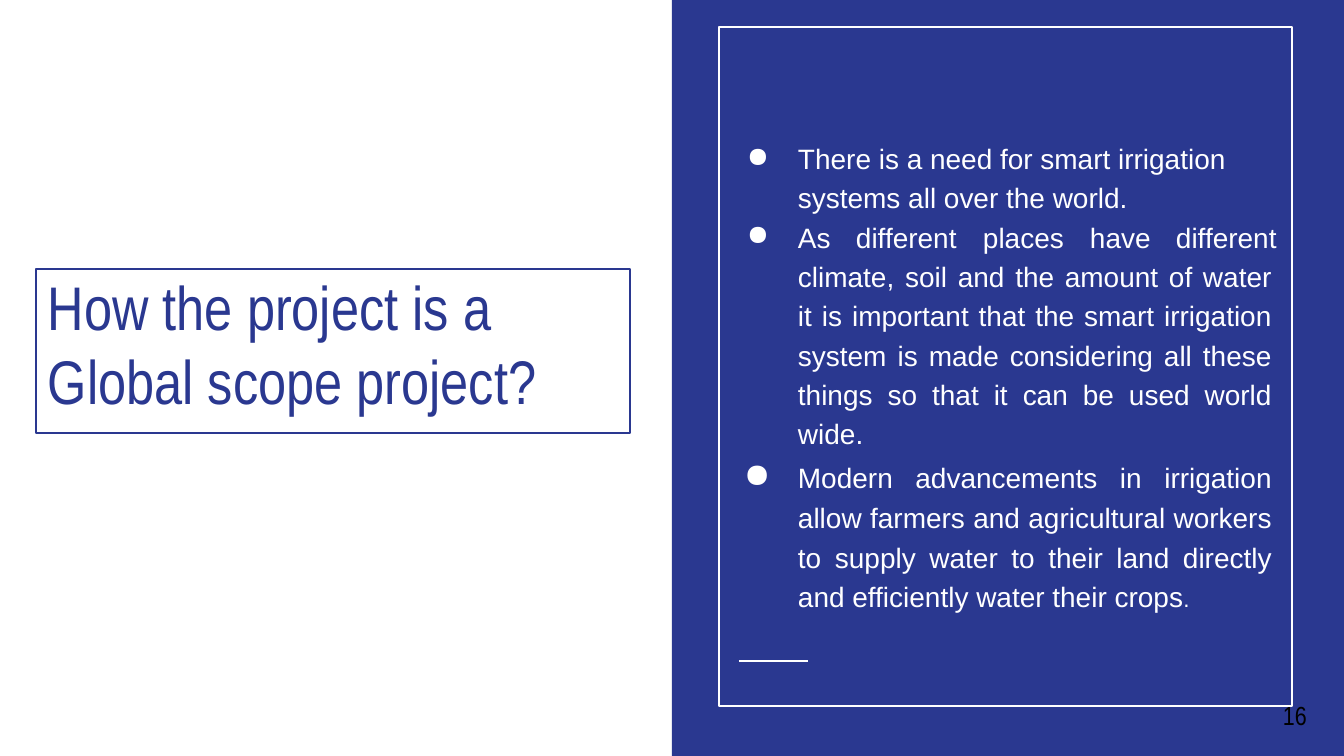
from dataclasses import dataclass

from lxml import etree
from pptx import Presentation
from pptx import util as u
from pptx.dml.color import RGBColor
from pptx.enum import shapes, text
from pptx.oxml.ns import qn

PX = 914400 / 134.4
BLUE, WHITE, BLACK = "2A3890", "FFFFFF", "000000"


@dataclass(frozen=True)
class Run:
    words: str
    size: float = 15
    font: str = "Arial"
    color: str = WHITE


@dataclass(frozen=True)
class Para:
    runs: tuple[Run, ...]
    margin: int = 0
    indent: int = 0
    line_spacing: float = 1.0
    before: float = 0
    justified: bool = False
    bullet_percent: int = 0
    tabs: tuple[int, ...] = ()


@dataclass(frozen=True)
class Box:
    left: int
    top: int
    width: int
    height: int
    inset_top: int = 0


def px(length: int) -> u.Emu:
    return u.Emu(round(length * PX))


def rgb(color: str) -> RGBColor:
    return RGBColor.from_string(color)


def add_para(paragraph, para: Para) -> None:
    paragraph.alignment = text.PP_ALIGN.JUSTIFY if para.justified else text.PP_ALIGN.LEFT
    paragraph.line_spacing = para.line_spacing
    paragraph.space_before = u.Pt(para.before)
    props = paragraph._p.get_or_add_pPr()
    props.set("marL", str(px(para.margin)))
    props.set("indent", str(px(para.indent)))
    if para.bullet_percent:
        etree.SubElement(props, qn("a:buSzPct"), val=str(para.bullet_percent * 1000))
        etree.SubElement(props, qn("a:buChar"), char="●")
    if para.tabs:
        stops = etree.SubElement(props, qn("a:tabLst"))
        for stop in para.tabs:
            etree.SubElement(stops, qn("a:tab"), pos=str(px(stop)), algn="l")
    for part in para.runs:
        run = paragraph.add_run()
        run.text = part.words
        run.font.size = u.Pt(part.size)
        run.font.name = part.font
        run.font.color.rgb = rgb(part.color)


def write(shape, paras: list[Para], inset_top: int = 0) -> None:
    frame = shape.text_frame
    frame.word_wrap = True
    frame.vertical_anchor = text.MSO_ANCHOR.TOP
    frame.margin_left = frame.margin_right = frame.margin_bottom = 0
    frame.margin_top = px(inset_top)
    for number, para in enumerate(paras):
        add_para(frame.add_paragraph() if number else frame.paragraphs[0], para)


def add_text(slide, box: Box, paras: list[Para]) -> None:
    shape = slide.shapes.add_textbox(px(box.left), px(box.top), px(box.width), px(box.height))
    write(shape, paras, box.inset_top)


def add_rect(slide, box: Box, fill: str | None = None, line: str | None = None):
    rect = slide.shapes.add_shape(shapes.MSO_SHAPE.RECTANGLE, px(box.left), px(box.top),
                                  px(box.width), px(box.height))
    rect.shadow.inherit = False
    if fill:
        rect.fill.solid()
        rect.fill.fore_color.rgb = rgb(fill)
    else:
        rect.fill.background()
    if line:
        rect.line.color.rgb = rgb(line)
        rect.line.width = u.Pt(0.75)
    else:
        rect.line.fill.background()
    return rect


def add_rule(slide, left: int, right: int, y: int) -> None:
    rule = slide.shapes.add_connector(shapes.MSO_CONNECTOR.STRAIGHT,
                                      px(left), px(y), px(right), px(y))
    rule.line.color.rgb = rgb(WHITE)
    rule.line.width = u.Pt(1.5)
    etree.SubElement(rule._element.spPr, qn("a:effectLst"))


TITLE = Para((Run("How the project is a Global scope project?", 33, "Arial Narrow", BLUE),),
             margin=12, before=0.3)
NEED = Para((Run("There is a need for smart irrigation systems all over the world."),),
            margin=52, indent=-51, line_spacing=1.17, before=1, bullet_percent=100)
PLACES = Para((Run("As\tdifferent\tplaces\thave\tdifferent"),),
              margin=52, indent=-51, before=3, bullet_percent=100,
              tabs=(52, 110, 237, 344, 430))
CLIMATE = Para((Run("climate, soil and the amount of water it is important that the smart "
                    "irrigation system is made considering all these things so that it can "
                    "be used world wide."),),
               margin=55, line_spacing=1.17, before=1, justified=True)
ADVANCES = Para((Run("Modern advancements in irrigation allow farmers and agricultural workers "
                     "to supply water to their land directly and efficiently water their crops"),
                 Run(".", 12)),
                margin=55, indent=-54, line_spacing=1.18, before=2.5, justified=True,
                bullet_percent=120)
PAGE = Para((Run("16", 14, "Arial Narrow", BLACK),), margin=5, before=1.1)


def main() -> None:
    deck = Presentation()
    deck.slide_width, deck.slide_height = px(1344), px(756)
    slide = deck.slides.add_slide(deck.slide_layouts[6])

    add_rect(slide, Box(672, 0, 672, 756), fill=BLUE)
    add_rule(slide, 739, 808, 661)
    add_rect(slide, Box(719, 27, 573, 679), line=WHITE)
    write(add_rect(slide, Box(36, 269, 594, 164), line=BLUE), [TITLE])
    add_text(slide, Box(1278, 696, 47, 38, inset_top=3), [PAGE])
    add_text(slide, Box(746, 135, 534, 121, inset_top=1), [NEED, PLACES])
    add_text(slide, Box(743, 253, 529, 363, inset_top=1), [CLIMATE, ADVANCES])

    deck.save("out.pptx")


if __name__ == "__main__":
    main()
